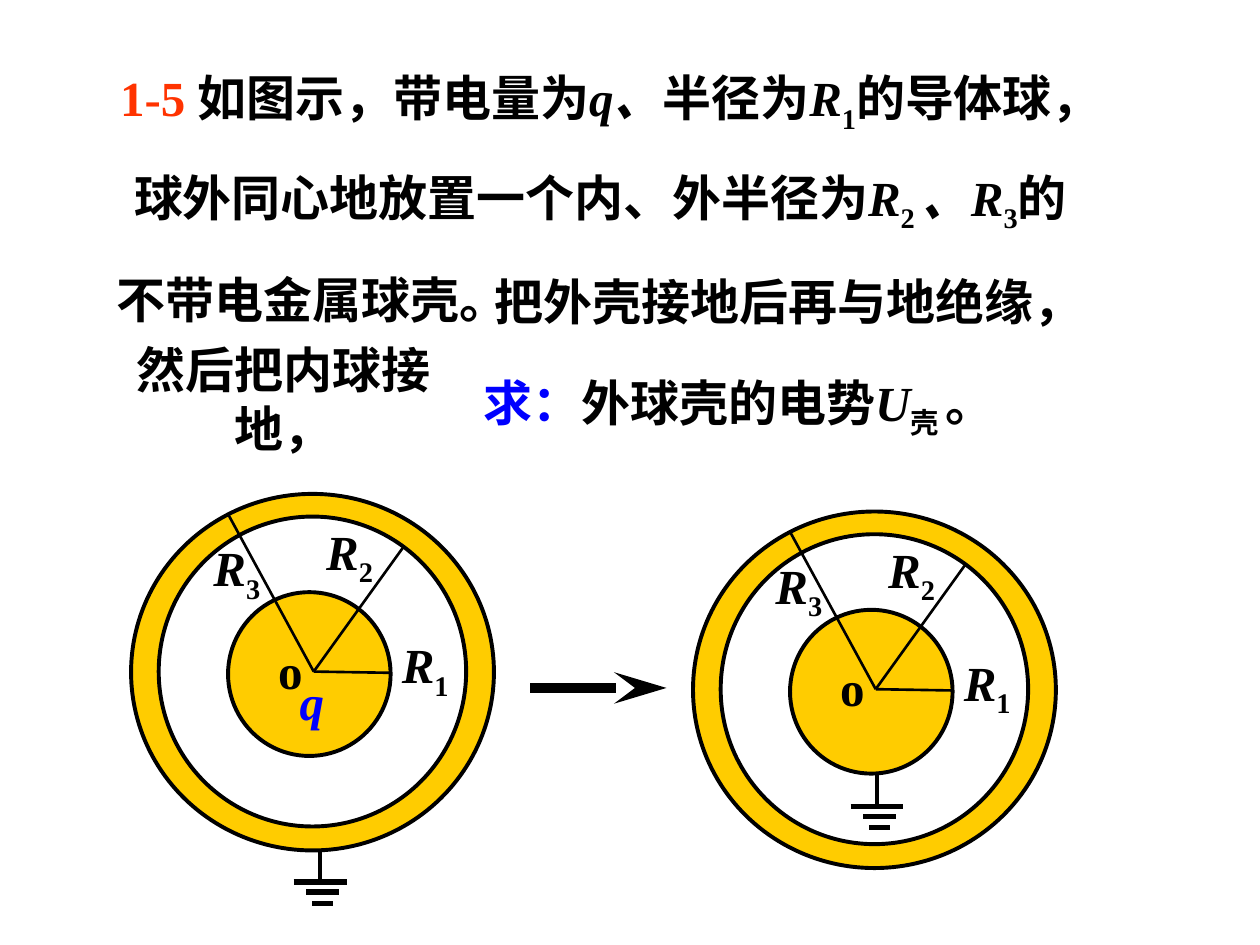
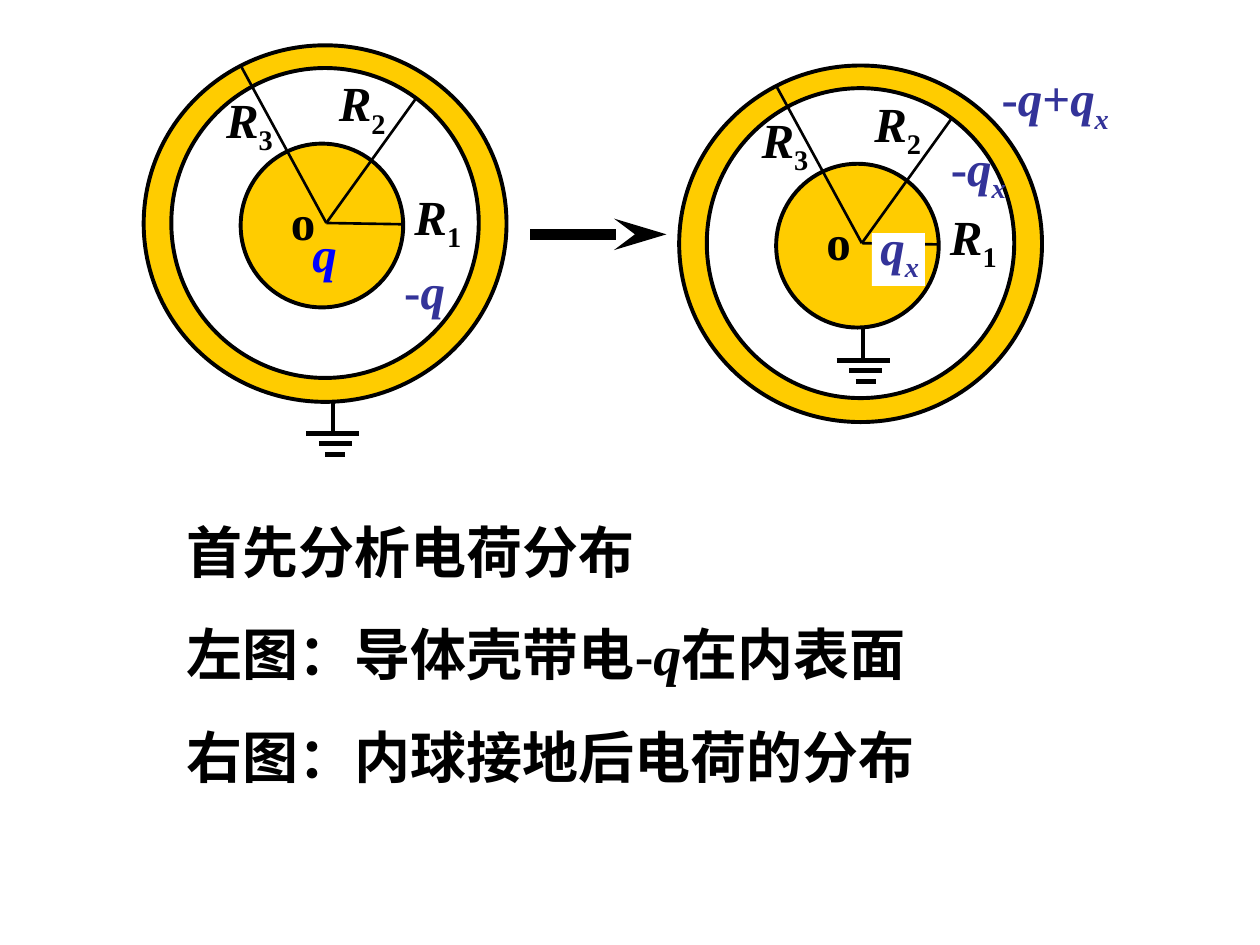
from dataclasses import dataclass

from lxml import etree
from pptx import Presentation
from pptx import util as u
from pptx.dml.color import RGBColor
from pptx.enum import shapes, text
from pptx.oxml import ns


@dataclass(frozen=True)
class Theme:
    font: str = "Times New Roman"
    ink: str = "000000"
    paper: str = "FFFFFF"
    metal: str = "FFCC00"
    number: str = "FF3300"
    accent: str = "0000FF"
    charge: str = "333399"
    body: int = 28
    notes: int = 32
    outline: float = 2.25
    radius: float = 1.5
    ground: float = 3
    arrow: float = 6


T = Theme()
LABEL = {"align": text.PP_ALIGN.CENTER, "wrap": False}
CENTERED = {"align": text.PP_ALIGN.CENTER}


def run(words, italic=False, sub=False, color=None):
    return words, italic, sub, color


def radius_label(index):
    return [run("R", italic=True), run(index, sub=True)]


def add_text(sp_tree, box, *paragraphs, size=T.body, color=T.ink, align=text.PP_ALIGN.LEFT,
             wrap=True, anchor=text.MSO_ANCHOR.MIDDLE, before=0, spacing=None):
    tf = sp_tree.add_textbox(*map(u.Inches, box)).text_frame
    frame_format = {"word_wrap": wrap, "vertical_anchor": anchor,
                    "auto_size": text.MSO_AUTO_SIZE.SHAPE_TO_FIT_TEXT}
    for name, value in frame_format.items():
        setattr(tf, name, value)
    for i, runs in enumerate(paragraphs):
        p = tf.add_paragraph() if i else tf.paragraphs[0]
        p.alignment = align
        p._p.get_or_add_pPr().set("hangingPunct", "0")
        if spacing:
            p.line_spacing = spacing
        if i and before:
            p.space_before = u.Pt(before)
        for words, italic, sub, run_color in runs:
            r = p.add_run()
            r.text = words
            run_format = {"name": T.font, "size": u.Pt(size), "bold": True, "italic": italic}
            for name, value in run_format.items():
                setattr(r.font, name, value)
            r.font.color.rgb = RGBColor.from_string(run_color or color)
            if sub:
                r._r.get_or_add_rPr().set("baseline", "-25000")


def add_filled(sp_tree, kind, box, fill, outlined=True):
    sp = sp_tree.add_shape(kind, *map(u.Inches, box))
    sp.shadow.inherit = False
    sp.fill.solid()
    sp.fill.fore_color.rgb = RGBColor.from_string(fill)
    if outlined:
        sp.line.color.rgb = RGBColor.from_string(T.ink)
        sp.line.width = u.Pt(T.outline)
    else:
        sp.line.fill.background()


def add_line(sp_tree, start, end, width, stealth=False):
    line = sp_tree.add_connector(shapes.MSO_CONNECTOR.STRAIGHT, *map(u.Inches, (*start, *end)))
    line.line.color.rgb = RGBColor.from_string(T.ink)
    line.line.width = u.Pt(width)
    if stealth:
        etree.SubElement(line.line._get_or_add_ln(), ns.qn("a:tailEnd"), type="stealth", len="lg")
    etree.SubElement(line._element.spPr, ns.qn("a:effectLst"))


def add_ground(sp_tree, x, y):
    add_line(sp_tree, (x, y), (x, y + 0.25), T.outline)
    for dy, shift, half in ((0.25, 0, 0.21), (0.33, 0.02, 0.13), (0.42, 0.02, 0.08)):
        add_line(sp_tree, (x + shift - half, y + dy), (x + shift + half, y + dy), T.ground)


def add_spheres(s, x, y, ground, with_charge=False):
    group = s.shapes.add_group_shape().shapes
    for dx, dy, w, h, fill in ((0, 0, 2.88, 2.83, T.metal),
                               (0.22, 0.18, 2.44, 2.46, T.paper),
                               (0.77, 0.78, 1.29, 1.3, T.metal)):
        add_filled(group, shapes.MSO_SHAPE.OVAL, (x + dx, y + dy, w, h), fill)
    for dx, dy in ((2.06, 1.42), (2.17, 0.41), (0.77, 0.16)):
        add_line(group, (x + 1.45, y + 1.41), (x + dx, y + dy), T.radius)
    add_text(group, (x + 1.07, y + 1.11, 0.39, 0.57), [run("o")], **LABEL)
    add_text(group, (x + 0.47, y + 0.3, 0.74, 0.63), radius_label("3"), **CENTERED)
    add_text(group, (x + 1.45, y + 0.17, 0.57, 0.63), radius_label("2"), **LABEL)
    add_text(group, (x + 2.05, y + 1.07, 0.57, 0.63), radius_label("1"), **LABEL)
    if with_charge:
        add_text(group, (x + 1.24, y + 1.36, 0.39, 0.57), [run("q", italic=True)],
                 color=T.accent, **LABEL)
    add_ground(group, x + ground[0], y + ground[1])


def add_grounding_steps(s, left, right, arrow_y):
    add_spheres(s, *left, ground=(1.5, 2.83), with_charge=True)
    add_spheres(s, *right, ground=(1.46, 2.09))
    add_line(s.shapes, (4.21, arrow_y), (5.29, arrow_y), T.arrow, stealth=True)


def add_problem(s, x, y):
    add_text(s.shapes, (x + 0.07, y, 8.35, 0.63), [
        run("1-5 ", color=T.number), run("如图示，带电量为"), run("q、", italic=True),
        run("半径为"), *radius_label("1"), run("的导体球，")], **CENTERED)
    add_text(s.shapes, (x + 0.16, y + 0.79, 8.01, 0.63), [
        run("球外同心地放置一个内、外半径为"), *radius_label("2 "),
        run("、R", italic=True), run("3", sub=True), run("的")], **LABEL)
    add_text(s.shapes, (x + 0.23, y + 1.6, 3.75, 0.57), [run("不带电金属球壳。")])
    add_text(s.shapes, (x + 3.23, y + 1.38, 5.54, 1.04), [run("把外壳接地后再与地绝缘，")])
    add_text(s.shapes, (x, y + 2.39, 3.3, 0.57), [run("然后把内球接地，")], **LABEL)
    add_text(s.shapes, (x + 3.14, y + 2.36, 4.5, 0.69), [
        run("求：", color=T.accent), run("外球壳的电势"), run("U", italic=True),
        run("壳 ", sub=True), run("。")], wrap=False, spacing=1.1)


def add_charges(s):
    minus, q = run("-"), run("q", italic=True)
    q_x = [q, run("x", italic=True, sub=True)]
    add_text(s.shapes, (3.11, 2.02, 0.52, 0.57), [minus, q], color=T.charge, **LABEL)
    core = s.shapes.add_group_shape().shapes
    add_filled(core, shapes.MSO_SHAPE.RECTANGLE, (6.92, 1.85, 0.42, 0.42), T.paper, outlined=False)
    for sp_tree, box, runs in ((core, (6.84, 1.67, 0.6, 0.63), q_x),
                               (s.shapes, (7.4, 1.04, 0.73, 0.63), [minus, *q_x]),
                               (s.shapes, (7.8, 0.49, 1.15, 0.63), [minus, q, run("+"), *q_x])):
        add_text(sp_tree, box, runs, color=T.charge, **LABEL)


def add_analysis(s, box):
    add_text(s.shapes, box,
             [run("首先分析电荷分布")],
             [run("左图：导体壳带电-"), run("q", italic=True), run("在内表面")],
             [run("右图：内球接地后电荷的分布")],
             size=T.notes, anchor=text.MSO_ANCHOR.TOP, before=20)


def problem_slide(prs):
    s = prs.slides.add_slide(prs.slide_layouts[6])
    add_problem(s, 0.6, 0.49)
    add_grounding_steps(s, (1.04, 3.92), (5.5, 4.06), 5.46)


def analysis_slide(prs):
    s = prs.slides.add_slide(prs.slide_layouts[6])
    add_grounding_steps(s, (1.14, 0.36), (5.39, 0.52), 1.86)
    add_charges(s)
    add_analysis(s, (1.38, 4.06, 7.01, 2.26))


def main():
    prs = Presentation()
    prs.slide_width, prs.slide_height = u.Inches(10), u.Inches(7.5)
    problem_slide(prs)
    analysis_slide(prs)
    prs.save("out.pptx")


if __name__ == "__main__":
    main()
